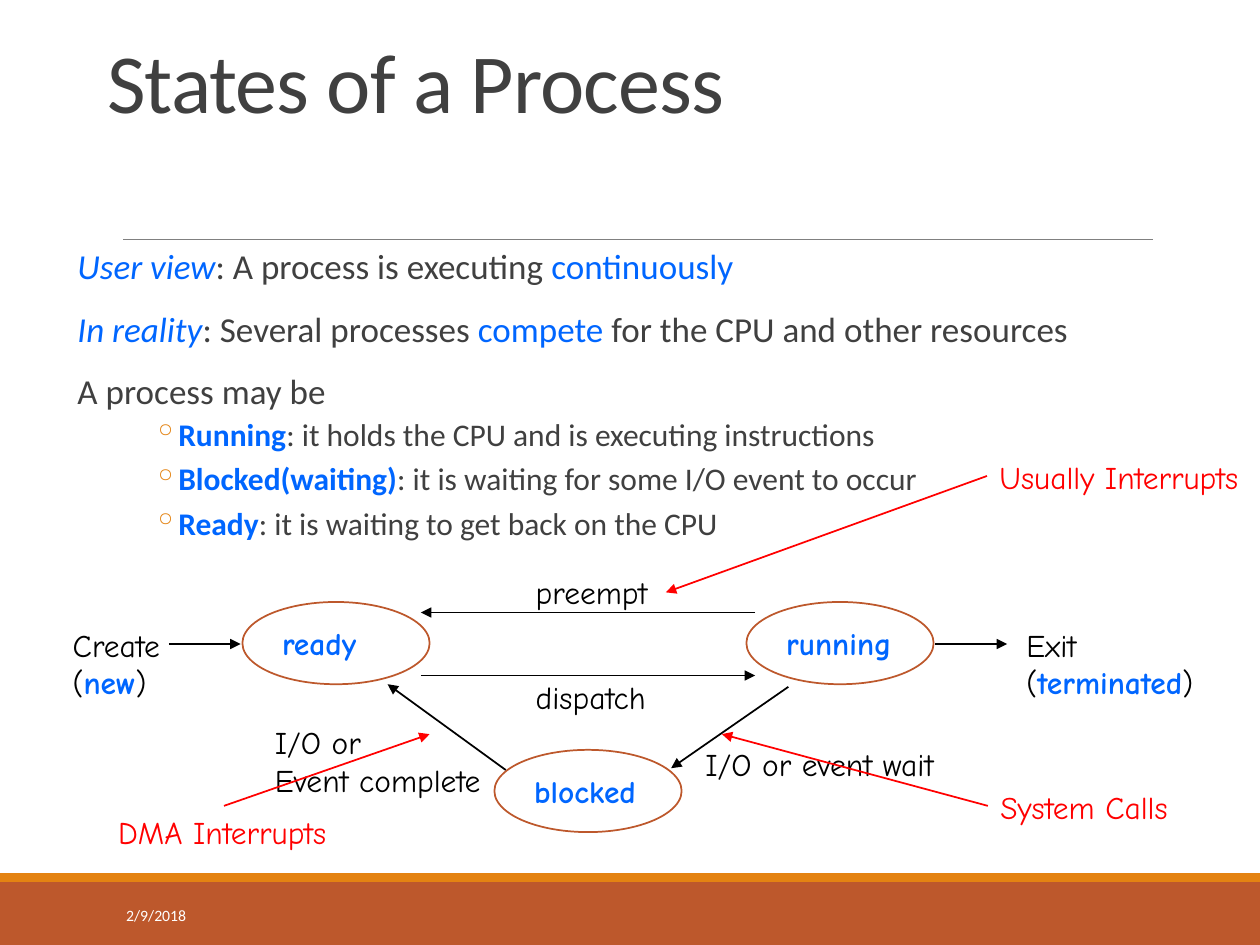
from lxml import etree
from pptx import Presentation
from pptx import util as u
from pptx.dml import color
from pptx.enum import shapes, text
from pptx.oxml import ns

Pt = u.Pt
INK, BLUE, RED, BLACK, WHITE = "404040", "0066FF", "FF0000", "000000", "FFFFFF"
RUST, GOLD, GRAY = "BD582C", "E48312", "808080"


def rgb(code):
    return color.RGBColor.from_string(code)


def put(obj, vals):
    for key, val in vals.items():
        setattr(obj, key, val)


def sub(node, tag, **vals):
    return etree.SubElement(node, ns.qn(tag), **vals)


class Deck:
    face = {"name": "Comic Neue", "size": Pt(18)}
    plain = {"name": "Calibri", "size": Pt(20)}
    pad = {"margin_left": Pt(7.2), "margin_right": Pt(7.2),
           "margin_top": Pt(3.6), "margin_bottom": Pt(3.6)}

    def __init__(self):
        self.show = Presentation()
        put(self.show, {"slide_width": Pt(720), "slide_height": Pt(540)})
        self.page = self.show.slides.add_slide(self.show.slide_layouts[5])
        self.items = self.page.shapes

    def run(self, para, words, hue, font, **extra):
        run = para.add_run()
        run.text = words
        put(run.font, {**font, **extra})
        run.font.color.rgb = rgb(hue)
        return run

    def fill(self, frame, lines, hue, font):
        for i, line in enumerate(lines):
            para = frame.paragraphs[0] if i == 0 else frame.add_paragraph()
            para.alignment = text.PP_ALIGN.LEFT
            for part in [line] if isinstance(line, str) else line:
                words, vals = (part, {}) if isinstance(part, str) else part
                self.run(para, words, BLUE if vals else hue, font, **vals)

    def title(self, words, x, y, w, h):
        box = self.items.title
        put(box, {"left": Pt(x), "top": Pt(y), "width": Pt(w), "height": Pt(h)})
        put(box.text_frame, {**self.pad, "word_wrap": True,
                             "auto_size": text.MSO_AUTO_SIZE.NONE,
                             "vertical_anchor": text.MSO_ANCHOR.BOTTOM})
        para = box.text_frame.paragraphs[0]
        put(para, {"alignment": text.PP_ALIGN.LEFT, "line_spacing": 0.85})
        run = self.run(para, words, INK, {"name": "Calibri", "size": Pt(48)})
        run.font._element.set("spc", "-50")

    def box(self, lines, x, y, w, h, hue=BLACK, font=None, **vals):
        frame = self.items.add_textbox(Pt(x), Pt(y), Pt(w), Pt(h)).text_frame
        put(frame, {**self.pad, "word_wrap": False, **vals})
        self.fill(frame, lines, hue, font or self.face)
        return frame

    def label(self, lines, x, y, w, hue=BLACK):
        self.box(lines, x, y, w, 7.2 + 21.6 * len(lines), hue,
                 auto_size=text.MSO_AUTO_SIZE.SHAPE_TO_FIT_TEXT)

    def body(self, heads, items, x, y, w, h):
        frame = self.box(heads + items, x, y, w, h, INK, self.plain, word_wrap=True)
        for i, para in enumerate(frame.paragraphs):
            item = i >= len(heads)
            before, after = (2, 4) if item else (12, 2)
            put(para, {"line_spacing": 0.9, "space_before": Pt(before),
                       "space_after": Pt(after)})
            props = para._p.get_or_add_pPr()
            props.set("marL", str(Pt(64.8 if item else 7.2)))
            if item:
                para.level = 1
                props.set("indent", str(Pt(-14.4)))
                sub(sub(props, "a:buClr"), "a:srgbClr", val=GOLD)
                sub(props, "a:buChar", char="◦")
                for run in para.runs:
                    run.font.size = Pt(18)

    def shape(self, kind, x, y, w, h, hue, edge=None):
        form = self.items.add_shape(kind, Pt(x), Pt(y), Pt(w), Pt(h))
        form.shadow.inherit = False
        form.fill.solid()
        form.fill.fore_color.rgb = rgb(hue)
        if edge:
            form.line.color.rgb = rgb(edge)
            form.line.width = Pt(1)
        else:
            form.line.fill.background()
        return form

    def bar(self, y, h, hue):
        self.shape(shapes.MSO_SHAPE.RECTANGLE, 0, y, 720, h, hue)

    def state(self, name, x, y):
        form = self.shape(shapes.MSO_SHAPE.OVAL, x, y, 107, 47, WHITE, RUST)
        put(form.text_frame, {**self.pad, "word_wrap": False,
                              "vertical_anchor": text.MSO_ANCHOR.MIDDLE})
        self.fill(form.text_frame, [[(name, {"bold": True})]], BLUE, self.face)

    def line(self, x1, y1, x2, y2, hue=BLACK, width=1, tip=True):
        link = self.items.add_connector(shapes.MSO_CONNECTOR.STRAIGHT,
                                        Pt(x1), Pt(y1), Pt(x2), Pt(y2))
        link.line.color.rgb = rgb(hue)
        link.line.width = Pt(width)
        if tip:
            sub(link.line._get_or_add_ln(), "a:tailEnd", type="triangle")
        sub(link._element.spPr, "a:effectLst")


def main():
    deck = Deck()
    bold, slant, tint = {"bold": True}, {"italic": True}, {"italic": False}

    deck.bar(504, 36, RUST)
    deck.bar(499, 5, GOLD)
    deck.line(70.5, 137, 659, 137, GRAY, 0.5, False)
    deck.title("States of a Process", 54, 18, 612, 60)
    deck.body(
        [[("User view", slant), ": A process is executing ", ("continuously", tint)],
         [("In reality", slant), ": Several processes ", ("compete", tint),
          " for the CPU and other resources"],
         "A process may be"],
        [[("Running", bold), ": it holds the CPU and is executing instructions"],
         [("Blocked(waiting)", bold), ": it is waiting for some I/O event to occur"],
         [("Ready", bold), ": it is waiting to get back on the CPU"]],
        30, 139, 660, 250)
    deck.box(["2/9/2018"], 65, 508.5, 146, 28.5, WHITE,
             {"name": "Calibri", "size": Pt(9)}, word_wrap=True,
             vertical_anchor=text.MSO_ANCHOR.MIDDLE)

    for name, x, y in [("ready", 138.5, 344), ("running", 426.5, 344),
                       ("blocked", 282.5, 428.5)]:
        deck.state(name, x, y)

    for ends in [(96.5, 368, 137.5, 368), (534.5, 368, 575.5, 368),
                 (431.5, 350, 240.5, 350), (240.5, 386, 431.5, 386),
                 (450.5, 392.5, 383.5, 439), (289, 440, 221.5, 391)]:
        deck.line(*ends)

    for lines, x, y, w in [
            (["Exit", ["(", ("terminated", bold), ")"]], 579.5, 354, 119.5),
            (["Create", ["(", ("new", bold), ")"]], 34.5, 354, 69),
            (["preempt"], 299, 324, 81.5),
            (["dispatch"], 299, 384, 82),
            (["I/O or event wait"], 396, 422, 147),
            (["I/O or", "Event complete"], 150, 409.5, 139.5)]:
        deck.label(lines, x, y, w)

    for note, x, y, w, ends in [
            ("Usually Interrupts", 564, 258, 155.5, (564, 272, 380.5, 338.5)),
            ("System Calls", 564.5, 446.5, 120, (564.5, 460.5, 412.5, 419.5)),
            ("DMA Interrupts", 60.5, 461, 135.5, (128, 460.5, 245.5, 419.5))]:
        deck.label([note], x, y, w, RED)
        deck.line(*ends, RED)

    deck.show.save("out.pptx")


if __name__ == "__main__":
    main()
